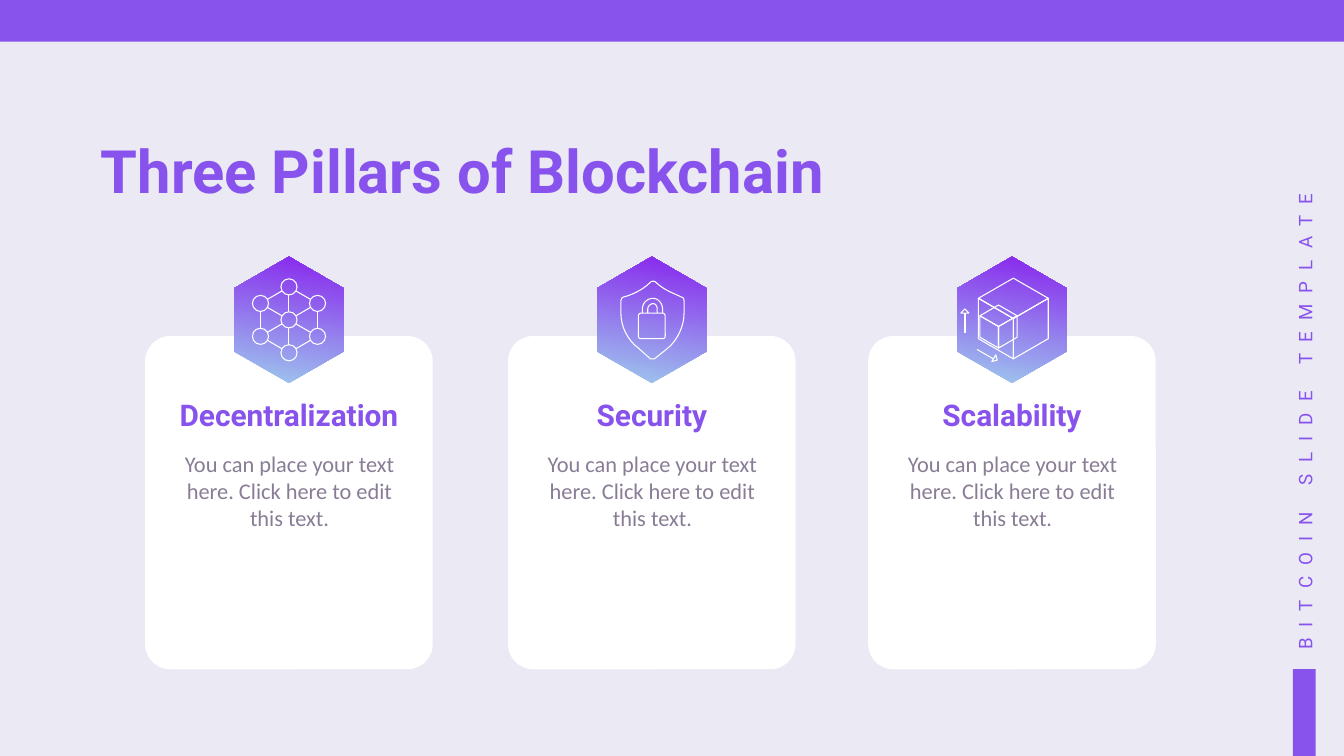
from itertools import pairwise
from math import cos, hypot, radians, sin

from lxml.etree import SubElement
from pptx import Presentation
from pptx.dml.color import RGBColor
from pptx.enum.shapes import MSO_CONNECTOR, MSO_SHAPE
from pptx.enum.text import MSO_ANCHOR, MSO_AUTO_SIZE, PP_ALIGN
from pptx.oxml.ns import qn
from pptx.util import Inches, Pt

TITLE = "Three Pillars of Blockchain"
SIDE_LABEL = "BITCOIN SLIDE TEMPLATE"
BODY = "You can place your text here. Click here to edit this text."
# heading, centre of its column, heading width
PILLARS = [
    ("Decentralization", 2.15, 1.75),
    ("Security", 4.85, 0.99),
    ("Scalability", 7.53, 1.09),
]

THEME = {
    "background": "EAE9F4", "accent": "8853ED", "card": "FFFFFF",
    "icon": "FFFFFF", "body": "897D95",
    "badge_bottom": "9ECAED", "badge_top": "8823ED",
    "heading_font": "Roboto", "body_font": "Calibri",
    "title_size": 32, "heading_size": 16, "body_size": 12, "label_size": 10,
    "icon_line": 0.58,
}
SLIDE_W = 10
SLIDE_H = SLIDE_W * 9 / 16
BADGE_Y = 2.38
BADGE_RADIUS = 0.47
CARD_W, CARD_H, CARD_TOP = 2.14, 2.48, 2.5
NODE_RADIUS = 0.06

# Icon outlines are offsets from the badge centre: a start point, then
# segments of one point (straight) or three points (cubic curve).
SHIELD = [
    [(0.12, 0.21)], [(0.02, 0.29)],
    [(0.01, 0.29), (0, 0.29), (-0.01, 0.29)], [(-0.10, 0.21)],
    [(-0.18, 0.15), (-0.23, 0.05), (-0.23, -0.05)], [(-0.23, -0.14)],
    [(-0.23, -0.15), (-0.22, -0.17), (-0.21, -0.17)],
    [(-0.17, -0.18), (-0.08, -0.21), (-0.01, -0.28)],
    [(0, -0.29), (0.02, -0.29), (0.03, -0.28)],
    [(0.09, -0.22), (0.18, -0.19), (0.22, -0.17)],
    [(0.23, -0.17), (0.24, -0.16), (0.24, -0.14)], [(0.24, -0.05)],
    [(0.24, 0.05), (0.19, 0.15), (0.12, 0.21)],
]
SHACKLES = [
    [[(0.04, -0.05)], [(0.04, -0.08)],
     [(0.04, -0.10), (0.03, -0.12), (0.01, -0.12)],
     [(-0.01, -0.12), (-0.03, -0.10), (-0.03, -0.08)], [(-0.03, -0.05)]],
    [[(-0.07, -0.05)], [(-0.07, -0.08)],
     [(-0.07, -0.12), (-0.04, -0.16), (0.01, -0.16)],
     [(0.05, -0.16), (0.08, -0.12), (0.08, -0.08)], [(0.08, -0.05)]],
]
CUBES = [((-0.10, 0.05), 0.16), ((0.01, -0.01), 0.3)]  # centre, edge
# shaft from and to, then the corners of the head
GROWTH_ARROWS = [
    ((-0.26, 0.22), (-0.14, 0.29), [(-0.15, 0.31), (-0.11, 0.30), (-0.12, 0.26)]),
    ((-0.35, 0.10), (-0.35, -0.05), [(-0.32, -0.05), (-0.35, -0.08), (-0.38, -0.05)]),
]


def color(name):
    return RGBColor.from_string(THEME[name])


def write(holder, text, *, size, tint="accent", font="heading_font", bold=False,
          align=PP_ALIGN.LEFT, anchor=MSO_ANCHOR.TOP, before=0, tracking=0):
    frame = holder.text_frame
    frame.word_wrap = True
    frame.auto_size = MSO_AUTO_SIZE.NONE
    frame.vertical_anchor = anchor
    frame.margin_left = frame.margin_right = frame.margin_top = frame.margin_bottom = 0
    paragraph = frame.paragraphs[0]
    paragraph.alignment = align
    paragraph.space_before = Pt(before)
    run = paragraph.add_run()
    run.text = text
    run.font.size = Pt(THEME[size])
    run.font.name = THEME[font]
    run.font.bold = bold
    run.font.color.rgb = color(tint)
    if tracking:
        run.font._element.set("spc", str(tracking * 100))


def box(left, top, width, height):
    return [Inches(v) for v in (left, top, width, height)]


def add_block(shapes, kind, area, fill):
    block = shapes.add_shape(kind, *box(*area))
    block.shadow.inherit = False
    block.fill.solid()
    block.fill.fore_color.rgb = color(fill)
    block.line.fill.background()
    return block


def hexagon(center, radius):
    """Corners clockwise from the top."""
    return [(center[0] + radius * cos(radians(a)), center[1] + radius * sin(radians(a)))
            for a in range(-90, 270, 60)]


def flatten(outline, steps=8):
    """Turn straight and cubic segments into a list of points."""
    points = list(outline[0])
    for segment in outline[1:]:
        if len(segment) == 1:
            points += segment
            continue
        a, (b, c, d) = points[-1], segment
        for t in (n / steps for n in range(1, steps + 1)):
            u = 1 - t
            points.append(tuple(
                u**3 * a[i] + 3 * u * u * t * b[i] + 3 * u * t * t * c[i] + t**3 * d[i]
                for i in (0, 1)))
    return points


def add_outline(shapes, points, close=True):
    start, *rest = [(Inches(x), Inches(y)) for x, y in points]
    builder = shapes.build_freeform(*start)
    builder.add_line_segments(rest, close=close)
    outline = builder.convert_to_shape()
    outline.shadow.inherit = False
    return outline


def as_icon_stroke(part):
    part.shadow.inherit = False
    part.fill.background()
    part.line.color.rgb = color("icon")
    part.line.width = Pt(THEME["icon_line"])


class Icon:
    """A group of white strokes placed around a badge centre."""

    def __init__(self, slide, x, y):
        self.shapes = slide.shapes.add_group_shape().shapes
        self.x, self.y = x, y

    def outline(self, points, close=True):
        placed = [(self.x + x, self.y + y) for x, y in points]
        as_icon_stroke(add_outline(self.shapes, placed, close))

    def preset(self, kind, left, top, width, height):
        part = self.shapes.add_shape(kind, *box(self.x + left, self.y + top, width, height))
        as_icon_stroke(part)
        return part

    def line(self, start, end, trim=0):
        (x1, y1), (x2, y2) = start, end
        cut = trim / hypot(x2 - x1, y2 - y1)
        dx, dy = (x2 - x1) * cut, (y2 - y1) * cut
        stroke = self.shapes.add_connector(
            MSO_CONNECTOR.STRAIGHT, Inches(self.x + x1 + dx), Inches(self.y + y1 + dy),
            Inches(self.x + x2 - dx), Inches(self.y + y2 - dy))
        stroke.line.color.rgb = color("icon")
        stroke.line.width = Pt(THEME["icon_line"])
        SubElement(stroke._element.spPr, qn("a:effectLst"))


def draw_network(icon):
    hub, rim = (0, 0), hexagon((0, 0), 0.245)
    for x, y in [hub, *rim]:
        icon.preset(MSO_SHAPE.OVAL, x - NODE_RADIUS, y - NODE_RADIUS,
                    2 * NODE_RADIUS, 2 * NODE_RADIUS)
    for start, end in [*pairwise(rim + rim[:1]), *((hub, node) for node in rim)]:
        icon.line(start, end, trim=NODE_RADIUS)


def draw_lock(icon):
    icon.outline(flatten(SHIELD))
    body = icon.preset(MSO_SHAPE.ROUNDED_RECTANGLE, -0.1, -0.05, 0.2, 0.19)
    body.adjustments[0] = 0.1
    for shackle in SHACKLES:
        icon.outline(flatten(shackle), close=False)


def draw_growth(icon):
    for center, edge in CUBES:
        rim = hexagon(center, edge)
        for i in (1, 3, 5):
            icon.outline([center, *(rim[(i + k) % 6] for k in range(3))])
    for start, end, head in GROWTH_ARROWS:
        icon.line(start, end)
        icon.outline(head)


def add_pillar(slide, heading, x, heading_width, draw_icon):
    shapes = slide.shapes
    card = add_block(shapes, MSO_SHAPE.ROUNDED_RECTANGLE,
                     (x - CARD_W / 2, CARD_TOP, CARD_W, CARD_H), "card")
    card.adjustments[0] = 0.088
    badge = add_outline(shapes, hexagon((x, BADGE_Y), BADGE_RADIUS))
    badge.line.fill.background()
    badge.fill.gradient()
    badge.fill.gradient_angle = 80
    for stop, name in zip(badge.fill.gradient_stops, ("badge_bottom", "badge_top")):
        stop.color.rgb = color(name)
    write(shapes.add_textbox(*box(x - heading_width / 2, 2.98, heading_width, 0.24)), heading,
          size="heading_size", bold=True, align=PP_ALIGN.CENTER, anchor=MSO_ANCHOR.BOTTOM)
    write(shapes.add_textbox(*box(x - 0.85, 3.35, 1.71, 1.16)), BODY, size="body_size",
          tint="body", font="body_font", align=PP_ALIGN.CENTER, before=2.4)
    draw_icon(Icon(slide, x, BADGE_Y))


def main():
    deck = Presentation()
    deck.slide_width, deck.slide_height = Inches(SLIDE_W), Inches(SLIDE_H)
    slide = deck.slides.add_slide(deck.slide_layouts[5])
    slide.background.fill.solid()
    slide.background.fill.fore_color.rgb = color("background")
    for area in [(0, 0, SLIDE_W, 0.31), (9.62, 4.98, 0.17, SLIDE_H - 4.98)]:
        add_block(slide.shapes, MSO_SHAPE.RECTANGLE, area, "accent")

    title = slide.shapes.title
    title.left, title.top, title.width, title.height = box(0.75, 1.01, 6.33, 0.52)
    write(title, TITLE, size="title_size", bold=True, anchor=MSO_ANCHOR.BOTTOM)
    side_label = slide.shapes.add_textbox(*box(7.84, 2.93, 3.69, 0.12))
    side_label.rotation = 270
    write(side_label, SIDE_LABEL, size="label_size", before=2, tracking=6)

    for pillar, draw_icon in zip(PILLARS, (draw_network, draw_lock, draw_growth)):
        add_pillar(slide, *pillar, draw_icon)
    deck.save("out.pptx")


if __name__ == "__main__":
    main()
